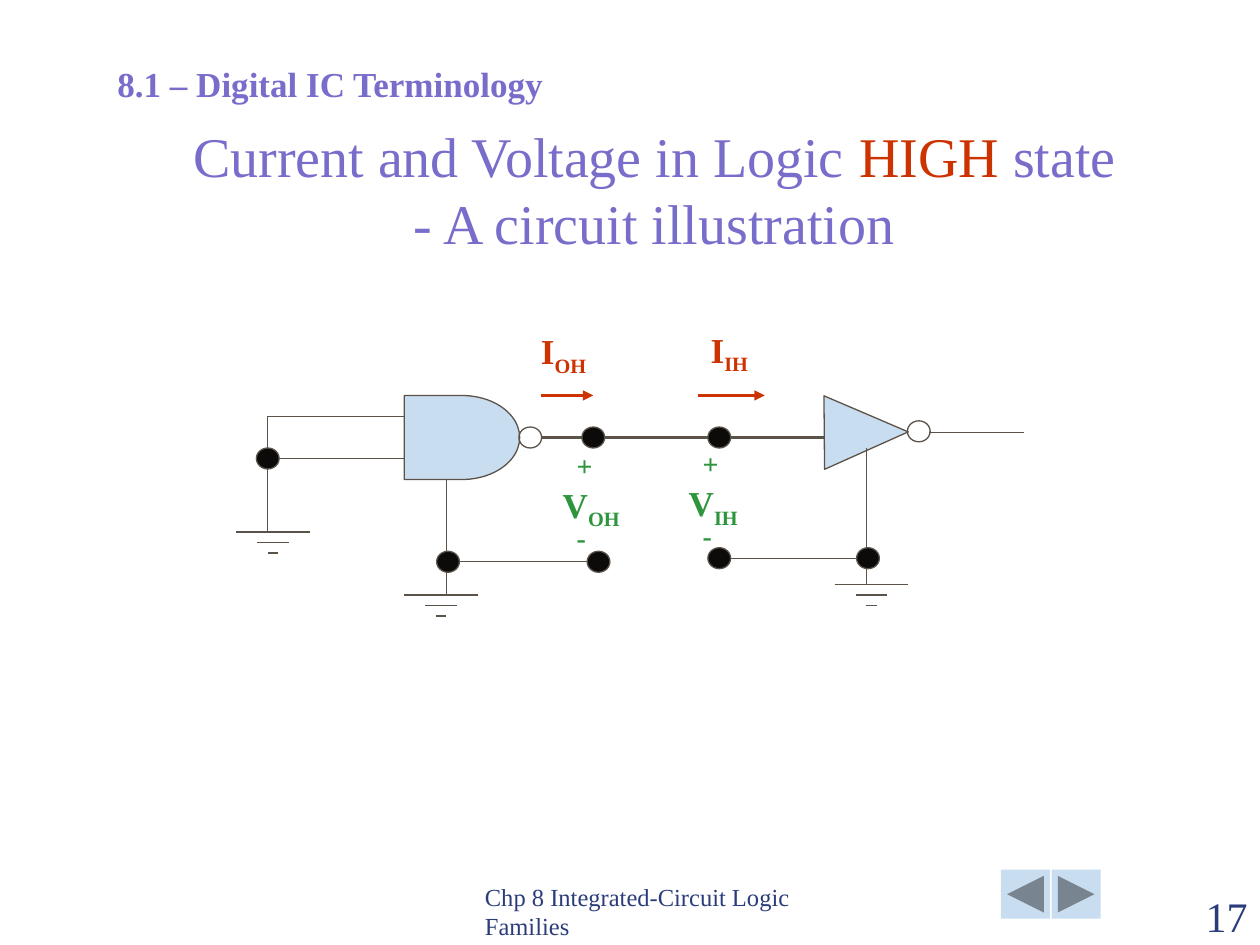
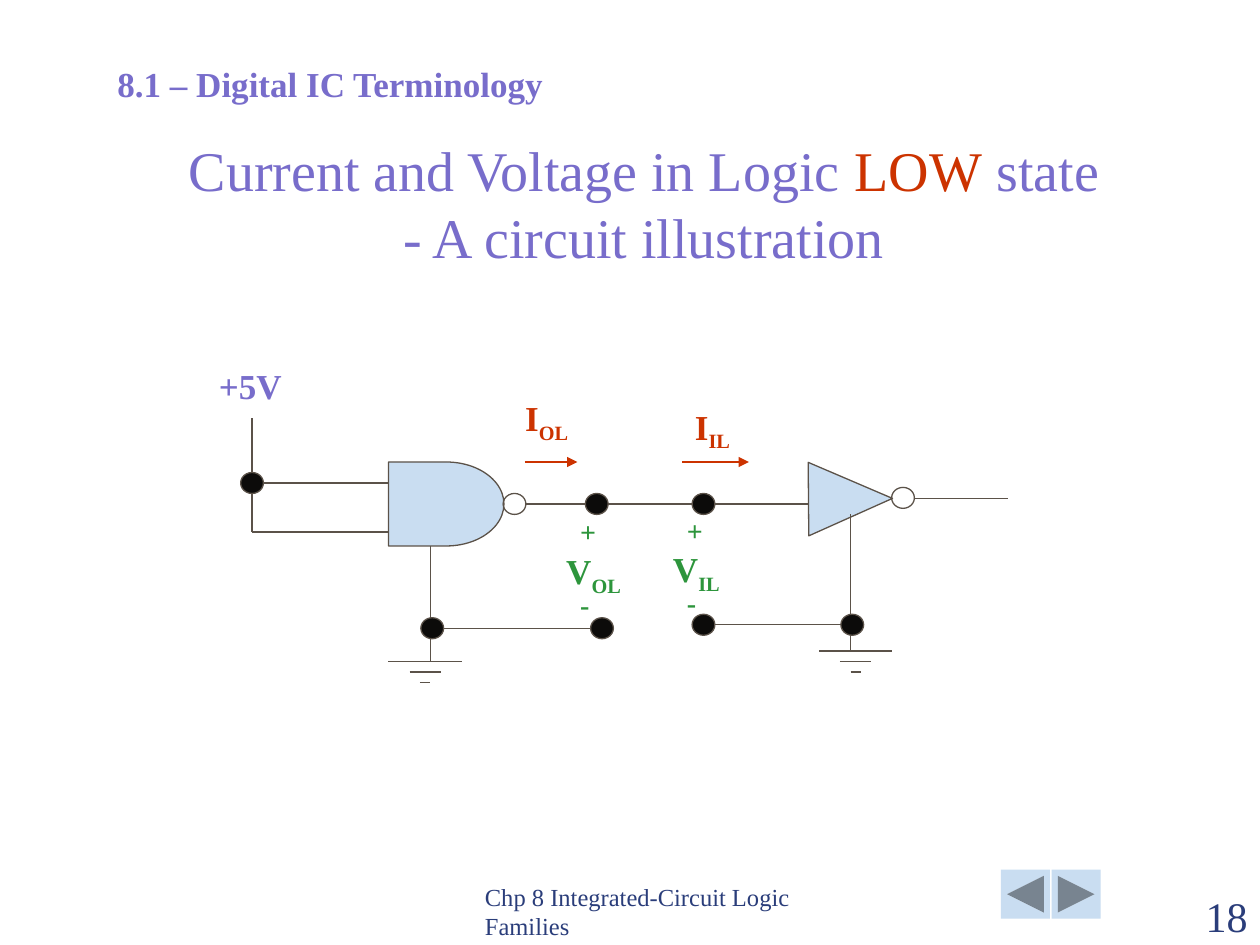
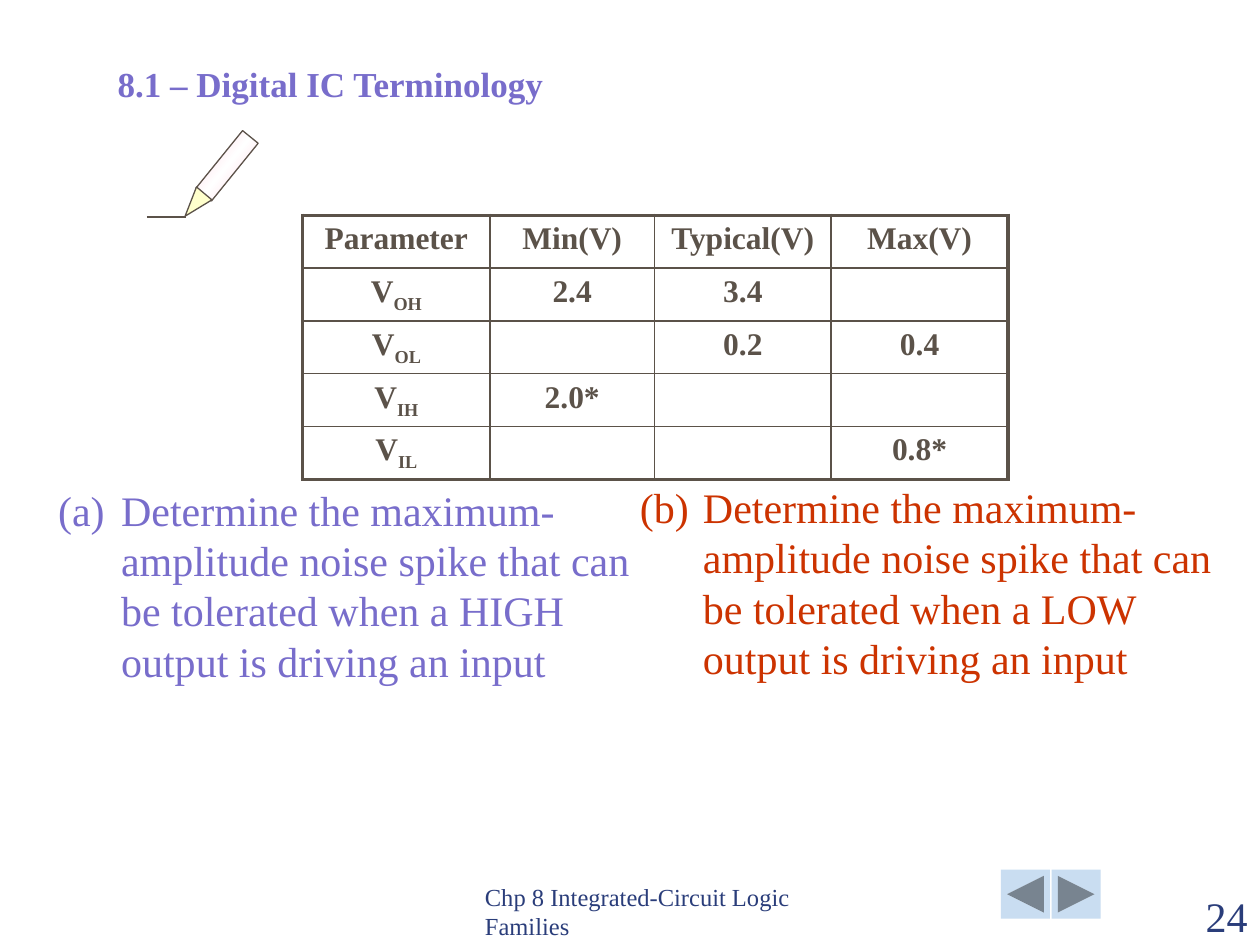
from copy import deepcopy
from dataclasses import dataclass

from lxml.etree import SubElement
from pptx import Presentation
from pptx.dml.color import RGBColor
from pptx.enum.shapes import MSO_CONNECTOR, MSO_SHAPE as Shape
from pptx.enum.text import MSO_ANCHOR as Anchor, MSO_AUTO_SIZE, PP_ALIGN as Align
from pptx.oxml.ns import qn
from pptx.util import Pt


@dataclass(frozen=True)
class Theme:
    font: str = "Times New Roman"
    violet: str = "786DCB"
    red: str = "CC3300"
    green: str = "2D953C"
    navy: str = "2A3D7A"
    brown: str = "5B5249"
    black: str = "0C0B0A"
    pale_blue: str = "C9DDF1"
    pink: str = "FFCCE0"
    white: str = "FFFFFF"
    cream: str = "FFFFCC"
    title: int = 32
    body: int = 24
    heading: int = 20
    cell: int = 18
    sign: int = 16
    footer: int = 14
    thin: float = 0.75
    medium: float = 1
    thick: float = 1.5
    frame: float = 2.25


THEME = Theme()


@dataclass(frozen=True)
class Box:
    left: float
    top: float
    width: float
    height: float

    def inside(self, x, y, width, height):
        return Box(self.left + x, self.top + y, width, height)

    def lengths(self):
        return Pt(self.left), Pt(self.top), Pt(self.width), Pt(self.height)


@dataclass(frozen=True)
class LogicState:
    name: str
    letter: str
    title_box: Box
    circuit_box: Box
    output_x: float
    input_label_y: float
    input_wires: tuple
    input_stem: tuple
    input_node_y: float
    supply: str = ""


HEADING_BOX = Box(60, 32, 290, 31)
STATES = {
    17: LogicState("HIGH", "H", Box(68, 71, 612, 79), Box(231, 226, 354, 127),
                   108, -42, (12, 36), (12, 78), 36),
    18: LogicState("LOW", "L", Box(62, 79, 612, 79), Box(222, 264, 354, 127),
                   119, -36, (12, 40), (-25, 40), 12, "+5V"),
}


# Text helpers
def style(para, size, color, bold=False, align=None):
    para.alignment = align
    para.font.name = THEME.font
    para.font.size = Pt(size)
    para.font.bold = bold
    para.font.color.rgb = RGBColor.from_string(color)


def add_symbol(para, symbol, subscript):
    para.add_run().text = symbol
    span = para.add_run()
    span.text = subscript
    span._r.get_or_add_rPr().set("baseline", "-25000")


def set_frame(shape, box, anchor=Anchor.TOP):
    shape.left, shape.top, shape.width, shape.height = box.lengths()
    frame = shape.text_frame
    frame.word_wrap = True
    frame.auto_size = MSO_AUTO_SIZE.NONE
    frame.vertical_anchor = anchor
    return frame


def add_text(page, box, text, size, color, bold=False, align=None, anchor=Anchor.TOP):
    frame = set_frame(page.shapes.add_textbox(*box.lengths()), box, anchor)
    para = frame.paragraphs[0]
    para.text = text
    style(para, size, color, bold, align)
    return frame


# Drawing helpers
def add_figure(page, kind, box, fill=None, outline=THEME.brown, rotation=0):
    shape = page.shapes.add_shape(kind, *box.lengths())
    shape.shadow.inherit = False
    shape.rotation = rotation
    if fill:
        shape.fill.solid()
        shape.fill.fore_color.rgb = RGBColor.from_string(fill)
    else:
        shape.fill.background()
    if outline:
        shape.line.color.rgb = RGBColor.from_string(outline)
        shape.line.width = Pt(THEME.thin)
    else:
        shape.line.fill.background()
    return shape


def add_wire(page, box, start, end, width=THEME.thin, color=THEME.brown, arrow=False):
    (x1, y1), (x2, y2) = start, end
    wire = page.shapes.add_connector(
        MSO_CONNECTOR.STRAIGHT, Pt(box.left + x1), Pt(box.top + y1),
        Pt(box.left + x2), Pt(box.top + y2))
    wire.line.color.rgb = RGBColor.from_string(color)
    wire.line.width = Pt(width)
    if arrow:
        SubElement(wire.line._get_or_add_ln(), qn("a:tailEnd"), type="triangle")
    SubElement(wire._element.spPr, qn("a:effectLst"))


def add_node(page, box, x, y, fill=THEME.black):
    add_figure(page, Shape.OVAL, box.inside(x - 6.5, y - 6, 13, 12), fill)


def add_ground(page, box, center, top):
    for step, width in enumerate((42, 18, 6)):
        y = top + 6 * step
        add_wire(page, box, (center - width / 2, y), (center + width / 2, y))


# Parts on every slide
def write_heading(frame):
    para = frame.paragraphs[0]
    para.text = "8.1 – Digital IC Terminology"
    style(para, THEME.heading, THEME.violet, True, Align.LEFT)


def add_footer(page, number):
    buttons = (Shape.ACTION_BUTTON_BACK_OR_PREVIOUS, Shape.ACTION_BUTTON_FORWARD_OR_NEXT)
    for index, kind in enumerate(buttons):
        add_figure(page, kind, Box(572 + 29 * index, 497, 28, 28), THEME.pale_blue, None)
    add_text(page, Box(270, 505, 228, 36), "Chp 8 Integrated-Circuit Logic Families",
             THEME.footer, THEME.navy, anchor=Anchor.BOTTOM)
    add_text(page, Box(648, 505, 72, 36), str(number),
             THEME.body, THEME.navy, align=Align.RIGHT, anchor=Anchor.BOTTOM)


# Circuit regions, measured from the top left corner of the gate
def add_current(page, box, x, end, label_x, label_y, subscript):
    add_wire(page, box, (x, 0), (end, 0), THEME.thick, THEME.red, arrow=True)
    frame = add_text(page, box.inside(label_x, label_y, 46, 31), "",
                     THEME.heading, THEME.red, True)
    add_symbol(frame.paragraphs[0], "I", subscript)


def add_voltage(page, box, subscript):
    frame = add_text(page, box, "+", THEME.sign, THEME.green, True)
    symbol, minus = frame.add_paragraph(), frame.add_paragraph()
    add_symbol(symbol, "V", subscript)
    minus.text = "-"
    style(symbol, THEME.heading, THEME.green, True)
    style(minus, THEME.sign, THEME.green, True)
    symbol.space_before, minus.space_before = Pt(11), Pt(7)
    for para in frame.paragraphs:
        para.line_spacing = 0.5
    for para in (frame.paragraphs[0], minus):
        para._p.get_or_add_pPr().set("marL", str(Pt(8)))


def add_inputs(page, box, state):
    for y in state.input_wires:
        add_wire(page, box, (-78, y), (0, y), THEME.medium)
    top, bottom = state.input_stem
    add_wire(page, box, (-78, top), (-78, bottom))
    add_node(page, box, -78, state.input_node_y)
    if state.supply:
        add_text(page, box.inside(-104, -59, 52, 31), state.supply,
                 THEME.heading, THEME.violet, True)
    else:
        add_ground(page, box, -75, bottom)


def add_circuit(page, box, state):
    # Gate, inverter and their output bubbles
    add_figure(page, Shape.FLOWCHART_DELAY, box.inside(0, 0, 66, 48), THEME.pale_blue)
    add_figure(page, Shape.FLOWCHART_EXTRACT, box.inside(243, -3, 42, 48),
               THEME.pale_blue, rotation=89.5)
    add_node(page, box, 72, 24, None)
    add_node(page, box, 294, 20.5, None)
    add_inputs(page, box, state)

    # Signal path
    add_wire(page, box, (78, 24), (240, 24), THEME.thick)
    add_wire(page, box, (300, 21), (354, 21))

    # Return paths: stem, ground and the lower terminal
    returns = ((24, 48, 114, 21, state.output_x + 3, 95),
               (264, 30, 108, 267, 180, 93))
    for stem, top, bottom, ground, terminal, y in returns:
        add_wire(page, box, (stem, top), (stem, bottom))
        add_ground(page, box, ground, bottom)
        add_wire(page, box, (stem, y), (terminal, y))
        add_node(page, box, stem + 1, y)
        add_node(page, box, terminal, y)

    # Currents and voltages
    add_current(page, box, 78, 108, 71, -41, "O" + state.letter)
    add_current(page, box, 168, 206, 168, state.input_label_y, "I" + state.letter)
    for x, y, side in ((state.output_x, 35, "O"), (180, 34, "I")):
        add_node(page, box, x, 24)
        add_voltage(page, box.inside(x - 24.5, y, 55, 60), side + state.letter)


def add_circuit_slide(deck, number, state):
    page = deck.slides.add_slide(deck.slide_layouts.get_by_name("Title Only"))
    frame = set_frame(page.shapes.title, state.title_box, Anchor.BOTTOM)
    first, second = frame.paragraphs[0], frame.add_paragraph()
    for text in ("Current and Voltage in Logic ", state.name, " state"):
        span = first.add_run()
        span.text = text
        if text == state.name:
            span.font.color.rgb = RGBColor.from_string(THEME.red)
    second.text = "- A circuit illustration"
    for para in (first, second):
        style(para, THEME.title, THEME.violet, align=Align.CENTER)
    write_heading(set_frame(page.shapes.add_textbox(*HEADING_BOX.lengths()), HEADING_BOX))
    add_circuit(page, state.circuit_box, state)
    add_footer(page, number)


# Exercise regions
def add_pencil(page, box):
    barrel = add_figure(page, Shape.RECTANGLE, box.inside(24.5, 0, 42.5, 11.5), rotation=309)
    barrel.fill.gradient()
    barrel.fill.gradient_angle = 90
    stop_list = barrel._element.spPr.find(".//" + qn("a:gsLst"))
    stop_list.append(deepcopy(stop_list[0]))
    shades = ((0, THEME.pink), (0.5, THEME.white), (1, THEME.pink))
    for stop, (position, color) in zip(barrel.fill.gradient_stops, shades):
        stop.position = position
        stop.color.rgb = RGBColor.from_string(color)
    add_figure(page, Shape.ISOSCELES_TRIANGLE, box.inside(21.5, 19.5, 11.5, 17),
               THEME.cream, rotation=220)
    add_wire(page, box, (0, 35), (22.5, 35))


def set_borders(cell, widths):
    properties = cell._tc.get_or_add_tcPr()
    for index, (side, width) in enumerate(widths.items()):
        line = SubElement(properties, qn("a:" + side), w=str(Pt(width)))
        fill = SubElement(line, qn("a:solidFill"))
        SubElement(fill, qn("a:srgbClr"), val=THEME.brown)
        properties.remove(line)
        properties.insert(index, line)


def add_parameter_table(page, box):
    rows = (("Parameter", "Min(V)", "Typical(V)", "Max(V)"),
            (("V", "OH"), "2.4", "3.4", ""),
            (("V", "OL"), "", "0.2", "0.4"),
            (("V", "IH"), "2.0*", "", ""),
            (("V", "IL"), "", "", "0.8*"))
    widths = (107, 94, 101, 101)
    last_row, last_column = len(rows) - 1, len(widths) - 1
    table = page.shapes.add_table(len(rows), len(widths), *box.lengths()).table
    table.first_row = table.horz_banding = False
    for column, width in zip(table.columns, widths):
        column.width = Pt(width)
    for r, row in enumerate(rows):
        table.rows[r].height = Pt(box.height / len(rows))
        for c, content in enumerate(row):
            cell = table.cell(r, c)
            cell.fill.background()
            para = cell.text_frame.paragraphs[0]
            if isinstance(content, tuple):
                add_symbol(para, *content)
            else:
                para.text = content
            style(para, THEME.cell, THEME.brown, True, Align.CENTER)
            outer = {"lnL": c == 0, "lnR": c == last_column,
                     "lnT": r == 0, "lnB": r == last_row}
            set_borders(cell, {side: THEME.frame if edge else THEME.medium
                               for side, edge in outer.items()})


def write_question(shape, box, number, state, color):
    para = set_frame(shape, box).paragraphs[0]
    para.text = ("Determine the maximum-amplitude noise spike that can be tolerated "
                 f"when a {state} output is driving an input")
    para.space_before = Pt(0)
    properties = para._p.get_or_add_pPr()
    properties.set("marL", str(Pt(36)))
    properties.set("indent", str(-Pt(36)))
    SubElement(properties, qn("a:buFont"), typeface=THEME.font)
    SubElement(properties, qn("a:buAutoNum"), type="alphaLcParenBoth", startAt=str(number))
    style(para, THEME.body, color, align=Align.LEFT)


def add_exercise_slide(deck, number):
    page = deck.slides.add_slide(deck.slide_layouts.get_by_name("Two Content"))
    write_heading(set_frame(page.shapes.title, HEADING_BOX))
    add_pencil(page, Box(84, 89, 67, 37))
    add_parameter_table(page, Box(173, 123, 403, 151))
    _, left, right = page.placeholders
    write_question(left, Box(26, 273, 346, 155), 1, "HIGH", THEME.violet)
    write_question(right, Box(358.5, 271.5, 341, 158), 2, "LOW", THEME.red)
    add_footer(page, number)


def main():
    deck = Presentation()
    deck.slide_width, deck.slide_height = Pt(720), Pt(540)
    for number, state in STATES.items():
        add_circuit_slide(deck, number, state)
    add_exercise_slide(deck, 24)
    deck.save("out.pptx")


if __name__ == "__main__":
    main()
